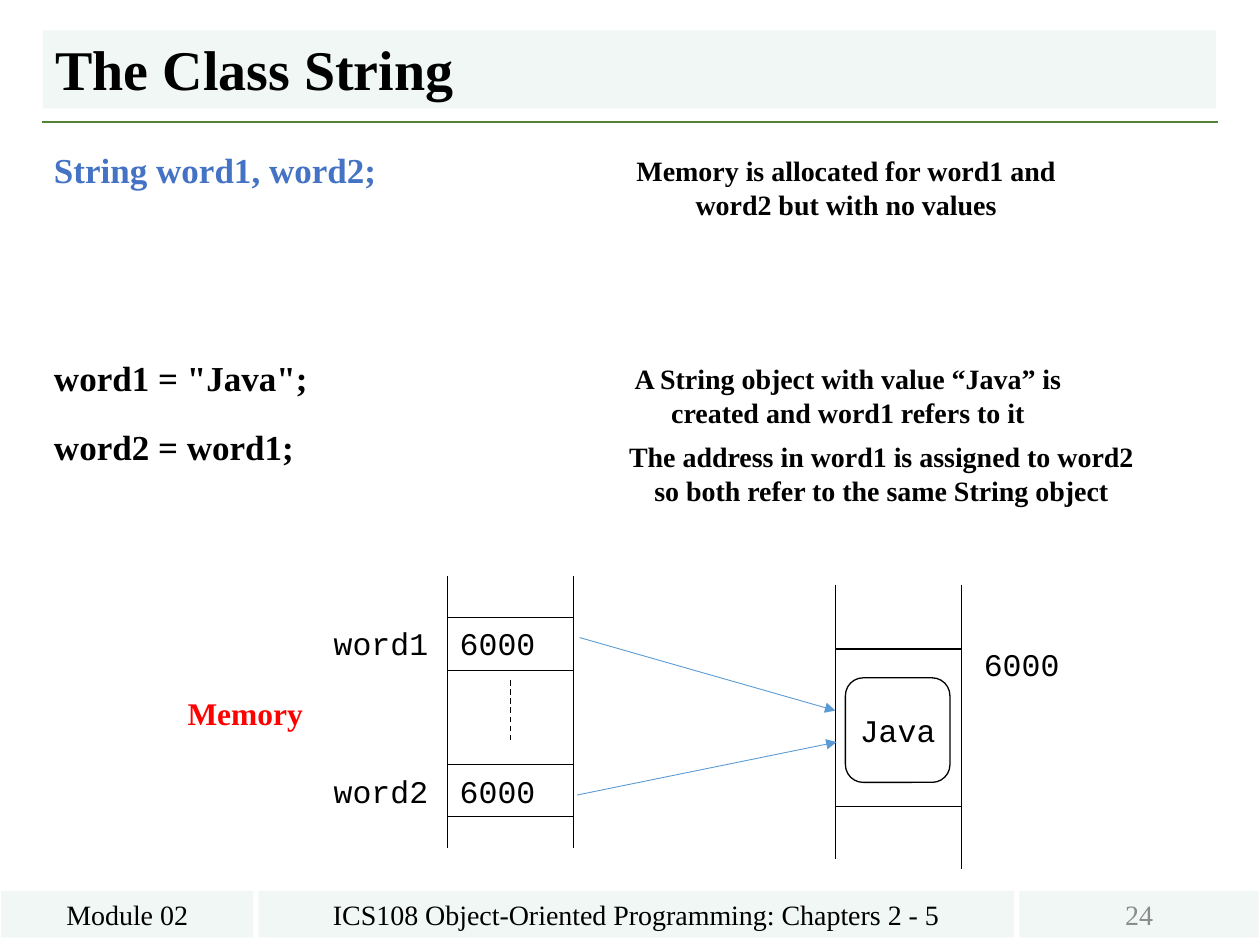
from lxml import etree
from pptx import Presentation
from pptx.dml.color import RGBColor
from pptx.enum.dml import MSO_LINE
from pptx.enum.shapes import MSO_CONNECTOR, MSO_SHAPE
from pptx.enum.text import MSO_ANCHOR, PP_ALIGN
from pptx.oxml.ns import qn
from pptx.util import Inches, Pt

LEFT, CENTER = PP_ALIGN.LEFT, PP_ALIGN.CENTER
TOP, MIDDLE, BOTTOM = MSO_ANCHOR.TOP, MSO_ANCHOR.MIDDLE, MSO_ANCHOR.BOTTOM
SERIF, MONO = "Times New Roman", "Courier New"
BLACK, GREEN, PALE, BLUE = "000000", "548235", "F1F7F4", "4472C4"
RED, GRAY, WHITE, ARROW_BLUE = "FF0000", "8C8C8C", "FFFFFF", "5B9BD5"

TITLE = "The Class String"
# statement, colour, space before in points
STATEMENTS = [
    ("String word1, word2;", BLUE, 0),
    ('word1 = "Java";', BLACK, 97),
    ("word2 = word1;", BLACK, 18),
]
# explanation, left, top, width
EXPLANATIONS = [
    ("Memory is allocated for word1 and word2 but with no values", 4.68, 1.17, 4.07),
    ("A String object with value “Java” is created and word1 refers to it",
     4.71, 2.82, 4.04),
    ("The address in word1 is assigned to word2 so both refer to the same String object",
     4.82, 3.44, 4.35),
]
# footer text, left, width, colour
FOOTER = [
    ("Module 02", 0.01, 2, BLACK),
    ("ICS108 Object-Oriented Programming: Chapters 2 - 5", 2.05, 6, BLACK),
    ("24", 8.09, 1.9, GRAY),
]
CELL_WIDTH = 1
VARIABLES_LEFT, OBJECT_LEFT = 3.55, 6.63
# memory column: left, top, bottom of left side, bottom of right side, cell borders
MEMORY_COLUMNS = [
    (VARIABLES_LEFT, 4.57, 6.73, 6.73, [4.9, 5.32, 6.07, 6.48]),
    (OBJECT_LEFT, 4.64, 6.82, 6.9, [5.15, 6.4]),
]
ADDRESS = "6000"
VARIABLES = [("word1", 4.9), ("word2", 6.08)]
REFERENCES = [(4.6, 5.06, 6.63, 5.64), (4.58, 6.31, 6.64, 5.89)]

prs = Presentation()
prs.slide_width, prs.slide_height = Inches(10), Inches(7.5)
slide = prs.slides.add_slide(prs.slide_layouts[6])


def rgb(color):
    return RGBColor.from_string(color)


def write(paragraph, text, size, color=BLACK, font=SERIF, bold=False, align=LEFT):
    paragraph.text = text
    paragraph.alignment = align
    paragraph.font.name = font
    paragraph.font.size = Pt(size)
    paragraph.font.bold = bold
    paragraph.font.color.rgb = rgb(color)


def add_text(text, left, top, width, height, size, **style):
    box = slide.shapes.add_textbox(*map(Inches, (left, top, width, height)))
    box.text_frame.word_wrap = True
    write(box.text_frame.paragraphs[0], text, size, **style)


def add_panel(text, left, top, width, height, size, fill=PALE, line=None,
              shape=MSO_SHAPE.RECTANGLE, anchor=TOP, **style):
    panel = slide.shapes.add_shape(shape, *map(Inches, (left, top, width, height)))
    panel.shadow.inherit = False
    panel.fill.solid()
    panel.fill.fore_color.rgb = rgb(fill)
    if line:
        panel.line.color.rgb = rgb(line)
        panel.line.width = Pt(0.75)
    else:
        panel.line.fill.background()
    panel.text_frame.vertical_anchor = anchor
    write(panel.text_frame.paragraphs[0], text, size, **style)
    return panel


def add_line(x1, y1, x2, y2, color=BLACK, width=0.75, dashed=False, arrow=False):
    line = slide.shapes.add_connector(
        MSO_CONNECTOR.STRAIGHT, *map(Inches, (x1, y1, x2, y2)))
    line.line.color.rgb = rgb(color)
    line.line.width = Pt(width)
    if dashed:
        line.line.dash_style = MSO_LINE.DASH
    properties = line._element.spPr
    if arrow:
        etree.SubElement(properties.find(qn("a:ln")), qn("a:tailEnd"), type="triangle")
    etree.SubElement(properties, qn("a:effectLst"))


# Title and footer
add_line(0.33, 0.97, 9.67, 0.97, GREEN, 1.5)
title = add_panel(TITLE, 0.34, 0.24, 9.31, 0.62, 32, anchor=BOTTOM, bold=True)
title.text_frame.paragraphs[0].line_spacing = 0.9
for text, left, width, color in FOOTER:
    add_panel(text, left, 7.07, width, 0.37, 16, anchor=MIDDLE, color=color, align=CENTER)

# Statements and their explanations
code = slide.shapes.add_textbox(*map(Inches, (0.33, 1.17, 4.62, 5.73))).text_frame
code.word_wrap = True
for i, (statement, color, gap) in enumerate(STATEMENTS):
    paragraph = code.add_paragraph() if i else code.paragraphs[0]
    write(paragraph, statement, 20, color, bold=True)
    paragraph.line_spacing = 0.9
    paragraph.space_before = Pt(gap)
for text, left, top, width in EXPLANATIONS:
    add_text(text, left, top, width, 0.64, 16, bold=True, align=CENTER)

# Memory diagram
for left, top, left_bottom, right_bottom, borders in MEMORY_COLUMNS:
    right = left + CELL_WIDTH
    add_line(left, top, left, left_bottom)
    add_line(right, top, right, right_bottom)
    for y in borders:
        add_line(left, y, right, y)
middle = VARIABLES_LEFT + CELL_WIDTH / 2
add_line(middle, 5.4, middle, 5.9, dashed=True)

add_text("Memory", 1.39, 5.46, 1.17, 0.4, 18, color=RED, bold=True)
for variable, top in VARIABLES:
    add_text(variable, VARIABLES_LEFT - 1, top, 1, 0.4, 18, font=MONO)
    add_text(ADDRESS, VARIABLES_LEFT, top, 0.92, 0.4, 18, font=MONO)
add_text(ADDRESS, 7.71, 5.07, 0.92, 0.4, 18, font=MONO)
java = add_panel("Java", 6.71, 5.38, 0.83, 0.83, 18, fill=WHITE, line=BLACK,
                 shape=MSO_SHAPE.ROUNDED_RECTANGLE, anchor=MIDDLE, font=MONO, align=CENTER)
java.adjustments[0] = 0.17
java.text_frame.word_wrap = False
for reference in REFERENCES:
    add_line(*reference, ARROW_BLUE, 0.5, arrow=True)

prs.save("out.pptx")
